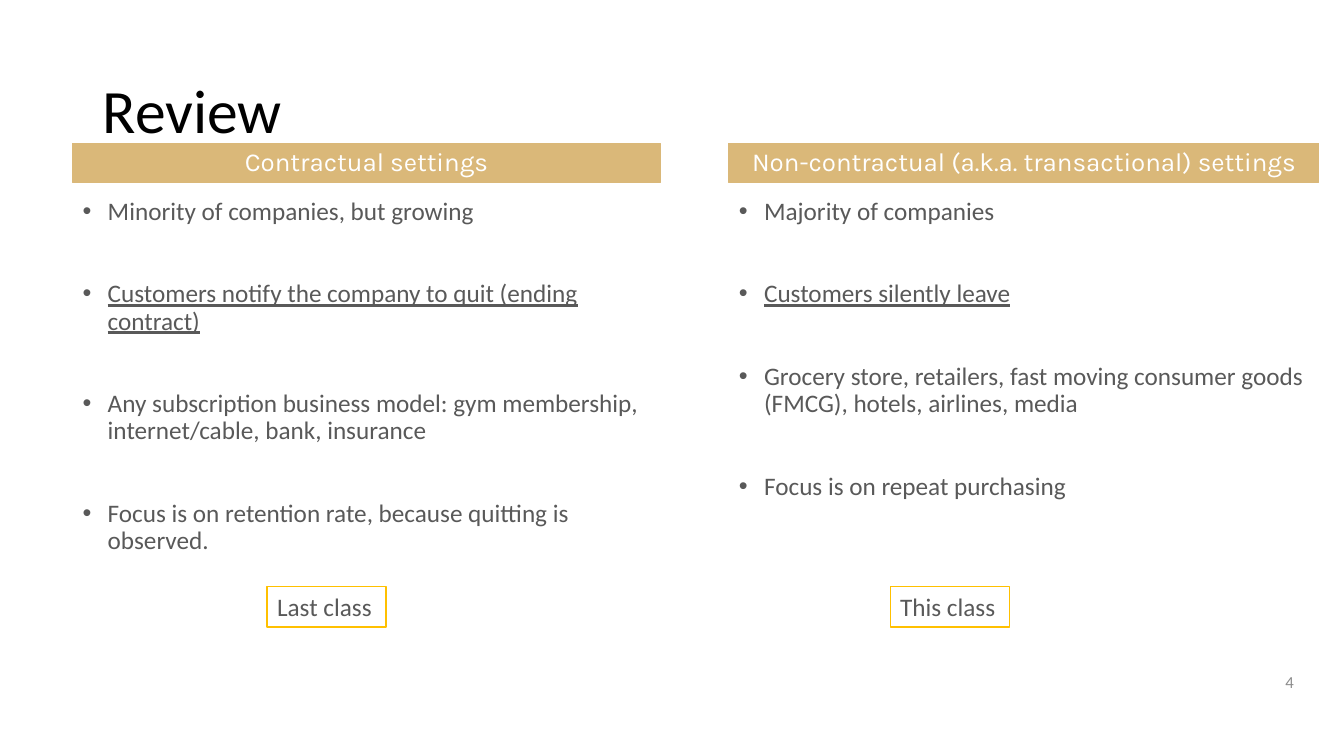
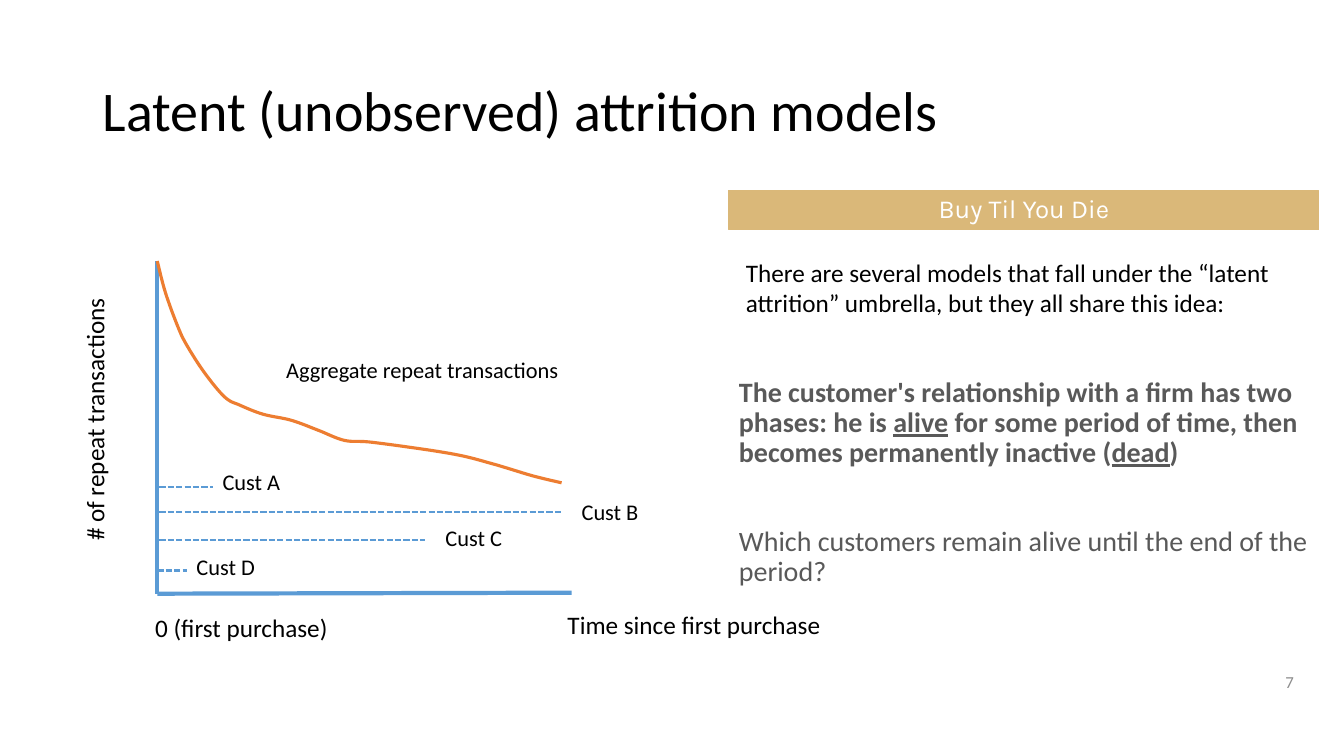
"""Build two slides on contractual settings and latent attrition models."""
from dataclasses import dataclass

from lxml import etree
from pptx import Presentation, util as u
from pptx.dml.color import RGBColor
from pptx.enum import dml, shapes, text
from pptx.oxml.ns import qn
from pptx.slide import Slide

PX = 9144
BLACK = RGBColor(0x00, 0x00, 0x00)
WHITE = RGBColor(0xFF, 0xFF, 0xFF)
GREY = RGBColor(0x59, 0x59, 0x59)
PALE = RGBColor(0x8C, 0x8C, 0x8C)
SAND = RGBColor(0xDA, 0xB8, 0x79)
GOLD = RGBColor(0xFF, 0xC0, 0x00)
BLUE = RGBColor(0x5B, 0x9B, 0xD5)
RUST = RGBColor(0xED, 0x7D, 0x31)
LEFT, RIGHT, WIDE = 72, 723, 585
Box = tuple[int, int, int, int]
Point = tuple[int, int]


@dataclass
class Column:
    x: int
    wide: int
    head: str
    items: list[str]
    tag: str
    tag_x: int


@dataclass
class Buyer:
    name: str
    start: int
    end: int
    y: int
    label: Box


@dataclass
class Note:
    words: str
    box: Box
    size: int = 18
    wrap: bool = False
    turn: int = 0


COLUMNS = [
    Column(LEFT, 583, "Contractual settings", [
        "Minority of companies, but growing",
        "_Customers notify the company to quit (ending contract)_",
        "Any subscription business model: gym membership, internet/cable, bank, insurance",
        "Focus is on retention rate, because quitting is observed.",
    ], "Last class", 265),
    Column(RIGHT, WIDE, "Non-contractual (a.k.a. transactional) settings", [
        "Majority of companies",
        "_Customers silently leave_",
        "Grocery store, retailers, fast moving consumer goods (FMCG), hotels, airlines, media",
        "Focus is on repeat purchasing",
    ], "This class", 883),
]
BUYERS = [
    Buyer("Cust A", 158, 211, 483, (211, 460, 86, 37)),
    Buyer("Cust B", 158, 557, 508, (567, 489, 88, 37)),
    Buyer("Cust C", 158, 422, 536, (432, 515, 89, 37)),
    Buyer("Cust D", 156, 185, 566, (185, 544, 91, 37)),
]
NOTES = [
    Note("# of repeat transactions", (-37, 396, 261, 40), turn=270),
    Note("Aggregate repeat transactions", (274, 348, 290, 37), size=16),
    Note("There are several models that fall under the “latent attrition” umbrella, "
         "but they all share this idea:", (730, 250, 567, 71), wrap=True),
    Note("Time since first purchase", (553, 600, 271, 40)),
    Note("0 (first purchase)", (144, 603, 192, 40)),
]
AXES = [((156, 259), (156, 589)), ((567, 588), (156, 589))]
CURVE = [(156, 259), (164, 290), (176, 323), (185, 342), (203, 370), (223, 394),
         (238, 402), (261, 411), (289, 417), (316, 427), (342, 437), (371, 439),
         (447, 450), (488, 460), (528, 472), (557, 479)]


def write(slide: Slide, box: Box, *paras: str, size: float = 18, font: str = "Calibri",
          color: RGBColor = BLACK, bold: int = 0, align: str = "LEFT",
          anchor: str = "TOP", lead: float = 1.0, gap: float = 0, bullet: bool = False,
          wrap: bool = True, turn: int = 0, fill: RGBColor | None = None,
          edge: RGBColor | None = None, width: float = 1) -> None:
    """Write paragraphs in a box; underscores wrap underlined words, bold counts paragraphs."""
    at = [n * PX for n in box]
    if fill is None:
        shape = slide.shapes.add_textbox(*at)
    else:
        shape = slide.shapes.add_shape(shapes.MSO_SHAPE.RECTANGLE, *at)
        shape.shadow.inherit = False
        shape.fill.solid()
        shape.fill.fore_color.rgb = fill
        shape.line.color.rgb = edge or fill
        shape.line.width = u.Pt(width)
    shape.rotation = turn
    frame = shape.text_frame
    frame.word_wrap = wrap
    frame.vertical_anchor = text.MSO_ANCHOR[anchor]
    for i, words in enumerate(paras):
        para = frame.paragraphs[0] if i == 0 else frame.add_paragraph()
        para.alignment = text.PP_ALIGN[align]
        para.line_spacing = lead
        para.space_before = u.Pt(gap if i else 0)
        if bullet:
            props = para._p.get_or_add_pPr()
            props.set("marL", str(25 * PX))
            props.set("indent", str(-25 * PX))
            etree.SubElement(props, qn("a:buFont"), typeface="Arial")
            etree.SubElement(props, qn("a:buChar"), char="•")
        for j, part in enumerate(words.split("_")):
            if part:
                run = para.add_run()
                run.text = part
                run.font.name = font
                run.font.size = u.Pt(size)
                run.font.color.rgb = color
                run.font.bold = i < bold
                run.font.underline = j % 2 == 1


def band(slide: Slide, x: int, y: int, wide: int, words: str) -> None:
    """Draw a sand heading band."""
    write(slide, (x, y, wide, 39), words, size=18.5, font="Karla", color=WHITE,
          align="CENTER", anchor="MIDDLE", lead=0.9, fill=SAND, width=0.75)


def rule(slide: Slide, start: Point, end: Point, width: float, dash: bool = False) -> None:
    """Draw a straight blue line."""
    line = slide.shapes.add_connector(
        shapes.MSO_CONNECTOR.STRAIGHT, *(n * PX for n in start + end))
    line.line.color.rgb = BLUE
    line.line.width = u.Pt(width)
    if dash:
        line.line.dash_style = dml.MSO_LINE.SQUARE_DOT
    etree.SubElement(line._element.spPr, qn("a:effectLst"))


def smooth(knots: list[Point], steps: int = 8) -> list[Point]:
    """Return EMU points of a Catmull-Rom spline through the knots."""
    ends = [knots[0], *knots, knots[-1]]
    out = []
    for a, b, c, d in zip(ends, ends[1:], ends[2:], ends[3:]):
        for t in (k / steps for k in range(steps)):
            out.append(tuple(round(PX * (
                q + t / 2 * (r - p + t * (2 * p - 5 * q + 4 * r - s
                                          + t * (3 * (q - r) + s - p)))))
                for p, q, r, s in zip(a, b, c, d)))
    return out + [tuple(n * PX for n in knots[-1])]


def trace(slide: Slide, knots: list[Point]) -> None:
    """Draw the aggregate curve."""
    first, *rest = smooth(knots)
    path = slide.shapes.build_freeform(*first)
    path.add_line_segments(rest, close=False)
    shape = path.convert_to_shape()
    shape.shadow.inherit = False
    shape.fill.background()
    shape.line.color.rgb = RUST
    shape.line.width = u.Pt(2.25)


def start(deck: Presentation, title: str, size: int, page: int) -> Slide:
    """Add a blank slide with its title and page number."""
    slide = deck.slides.add_slide(deck.slide_layouts[6])
    write(slide, (92, 40, 1150, 145), title, size=size, anchor="MIDDLE", lead=0.9)
    write(slide, (1251, 656, 42, 40), str(page), size=12, color=PALE,
          align="RIGHT", anchor="MIDDLE")
    return slide


def review(deck: Presentation) -> None:
    """Build the two-column review slide."""
    slide = start(deck, "Review", 44, 4)
    for col in COLUMNS:
        band(slide, col.x, 142, col.wide, col.head)
        write(slide, (col.x, 192, WIDE, 461), *col.items, color=GREY,
              lead=0.9, gap=39.5, bullet=True)
        write(slide, (col.tag_x, 582, 118, 40), col.tag, color=GREY,
              fill=WHITE, edge=GOLD)


def latent(deck: Presentation) -> None:
    """Build the attrition model slide."""
    slide = start(deck, "Latent (unobserved) attrition models", 40, 7)
    band(slide, RIGHT, 189, WIDE, "Buy Til You Die")
    write(slide, (RIGHT, 370, WIDE, 332),
          "The customer's relationship with a firm has two phases: he is _alive_ for some "
          "period of time, then becomes permanently inactive (_dead_)",
          "Which customers remain alive until the end of the period?",
          size=20, color=GREY, bold=1, lead=0.9, gap=42)
    for a, b in AXES:
        rule(slide, a, b, 3)
    trace(slide, CURVE)
    for buyer in BUYERS:
        rule(slide, (buyer.start, buyer.y), (buyer.end, buyer.y), 1.5, dash=True)
        write(slide, buyer.label, buyer.name, size=16, wrap=False)
    for note in NOTES:
        write(slide, note.box, note.words, size=note.size, wrap=note.wrap, turn=note.turn)


def main() -> None:
    """Build and save the deck."""
    deck = Presentation()
    deck.slide_width, deck.slide_height = 1333 * PX, 750 * PX
    review(deck)
    latent(deck)
    deck.save("out.pptx")


if __name__ == "__main__":
    main()
